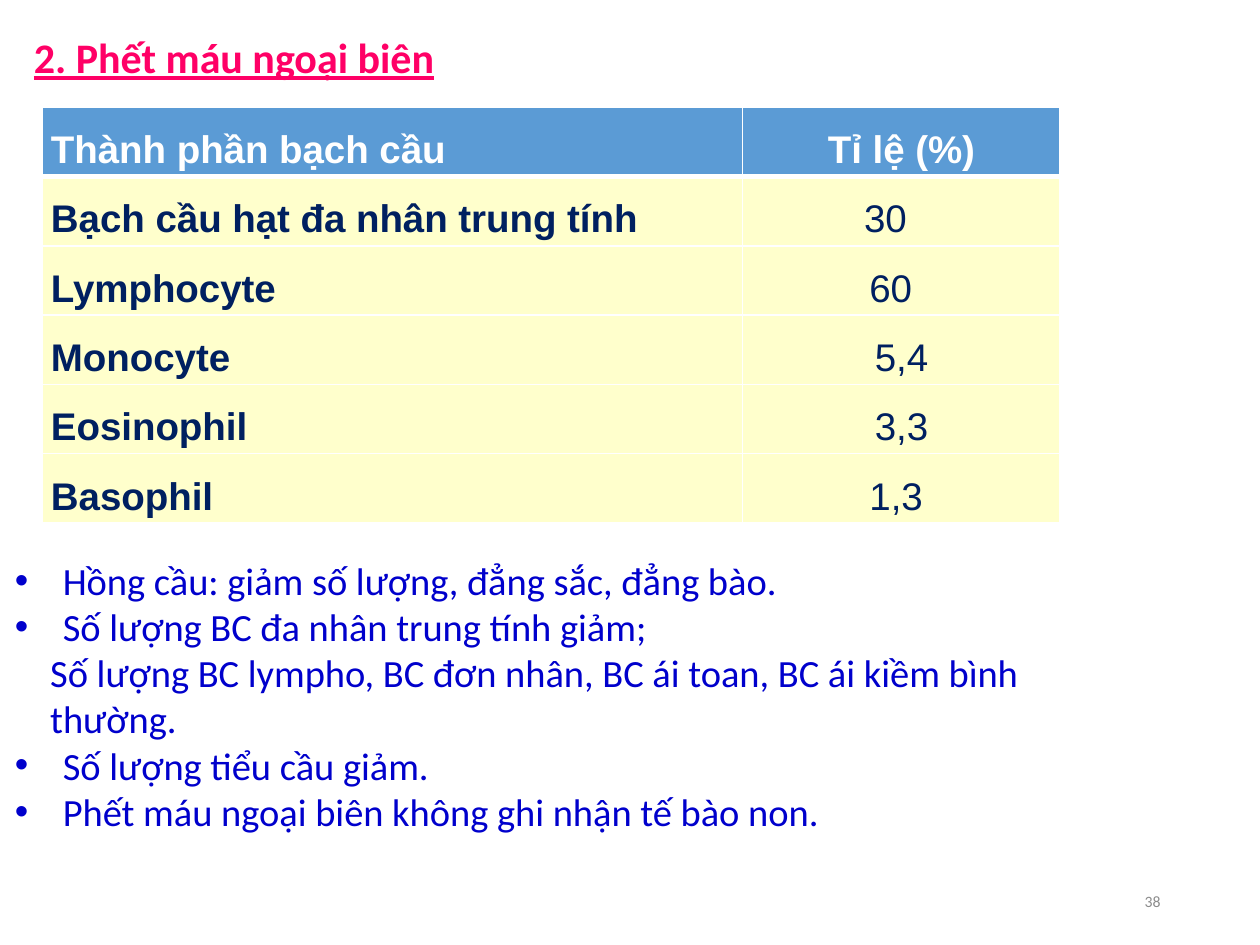
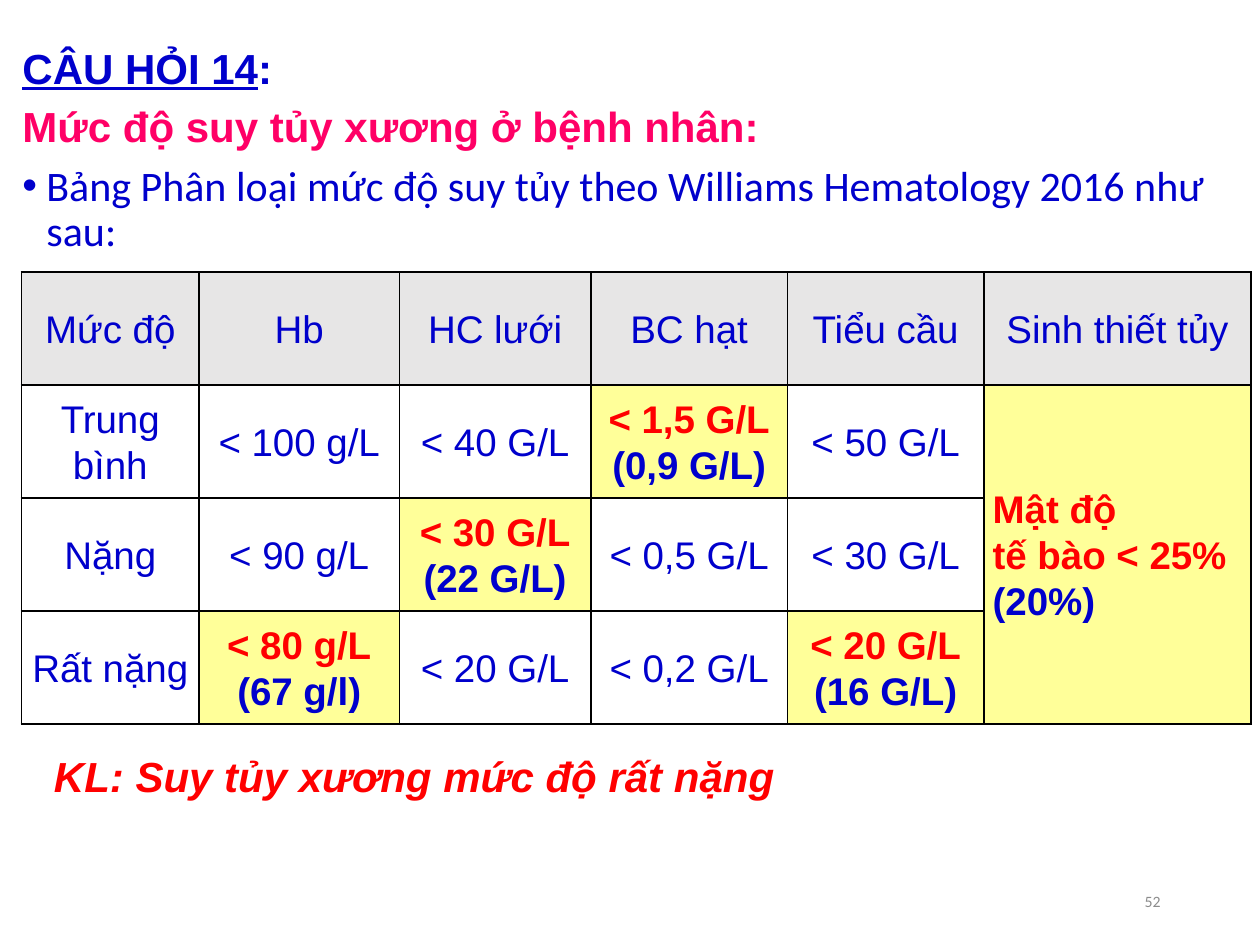
"""Build two haematology slides: a blood smear result and a marrow failure grading."""
import dataclasses

import lxml.etree
import pptx
import pptx.dml.color
import pptx.enum.text
import pptx.oxml.ns
import pptx.util

RGBColor = pptx.dml.color.RGBColor
Align = pptx.enum.text.PP_ALIGN
Anchor = pptx.enum.text.MSO_ANCHOR

WHITE = RGBColor(0xFF, 0xFF, 0xFF)
BLACK = RGBColor(0x00, 0x00, 0x00)
BLUE = RGBColor(0x00, 0x00, 0xCC)
NAVY = RGBColor(0x00, 0x20, 0x60)
PINK = RGBColor(0xFF, 0x00, 0x66)
RED = RGBColor(0xFF, 0x00, 0x00)
GREY = RGBColor(0x8C, 0x8C, 0x8C)
HEADER_BLUE = RGBColor(0x5B, 0x9B, 0xD5)
HEADER_GREY = RGBColor(0xE7, 0xE6, 0xE6)
CREAM = RGBColor(0xFF, 0xFF, 0xCC)
YELLOW = RGBColor(0xFF, 0xFF, 0x99)


@dataclasses.dataclass
class Span:
    text: str
    color: RGBColor = BLUE
    size: float = 22
    font: str = "Arial"
    bold: bool = False
    italic: bool = False
    underline: bool = False


@dataclasses.dataclass
class Para:
    spans: list
    align: Align = Align.LEFT
    spacing: float = 1.0
    before: float = 0
    indent: float = 0
    bullet: bool = False


@dataclasses.dataclass
class Cell:
    paras: list
    fill: RGBColor = None
    anchor: Anchor = Anchor.TOP
    shift: float = 0


class Deck:
    """Holds the presentation, its current page and the shared style."""

    def __init__(self):
        self.file = pptx.Presentation()
        self.file.slide_width = pptx.util.Inches(10)
        self.file.slide_height = pptx.util.Inches(7.5)
        self.page = None

    def across(self, percent):
        return round(self.file.slide_width * percent / 100)

    def down(self, percent):
        return round(self.file.slide_height * percent / 100)

    def add_page(self, number):
        self.page = self.file.slides.add_slide(self.file.slide_layouts[6])
        label = Span(str(number), GREY, 9, "Calibri")
        self.text(70.6, 92.67, 22.5, 5.33, [Para([label], Align.RIGHT)], Anchor.MIDDLE)

    def fill_text(self, frame, paras):
        for index, para in enumerate(paras):
            line = frame.paragraphs[0] if index == 0 else frame.add_paragraph()
            line.alignment = para.align
            line.line_spacing = para.spacing
            line.space_before = pptx.util.Pt(para.before if index else 0)
            properties = line._p.get_or_add_pPr()
            indent = pptx.util.Inches(para.indent)
            properties.set("marL", str(indent))
            properties.set("indent", str(-indent if para.bullet else 0))
            if para.bullet:
                for tag, key, value in (("a:buFont", "typeface", "Arial"), ("a:buChar", "char", "•")):
                    mark = lxml.etree.SubElement(properties, pptx.oxml.ns.qn(tag))
                    mark.set(key, value)
            for span in para.spans:
                run = line.add_run()
                run.text = span.text
                run.font.name = span.font
                run.font.size = pptx.util.Pt(span.size)
                run.font.color.rgb = span.color
                run.font.bold = span.bold
                run.font.italic = span.italic
                run.font.underline = span.underline

    def text(self, left, top, width, height, paras, anchor=Anchor.TOP, wrap=True):
        box = self.page.shapes.add_textbox(
            self.across(left), self.down(top), self.across(width), self.down(height))
        box.text_frame.word_wrap = wrap
        box.text_frame.vertical_anchor = anchor
        self.fill_text(box.text_frame, paras)

    def border(self, cell, color, widths):
        properties = cell._tc.get_or_add_tcPr()
        for index, (side, width) in enumerate(zip("LRTB", widths)):
            line = lxml.etree.Element(pptx.oxml.ns.qn(f"a:ln{side}"), w=str(pptx.util.Pt(width)))
            fill = lxml.etree.SubElement(line, pptx.oxml.ns.qn("a:solidFill"))
            lxml.etree.SubElement(fill, pptx.oxml.ns.qn("a:srgbClr"), val=str(color))
            properties.insert(index, line)

    def table(self, left, top, columns, rows, cells, line_color, header_line=1, merge=None):
        grid = self.page.shapes.add_table(
            len(rows), len(columns), self.across(left), self.down(top),
            self.across(sum(columns)), self.down(sum(rows))).table
        grid.horz_banding = False
        for column, width in zip(grid.columns, columns):
            column.width = self.across(width)
        for row, height in zip(grid.rows, rows):
            row.height = self.down(height)
        for y, row in enumerate(cells):
            for x, content in enumerate(row):
                cell = grid.cell(y, x)
                cell.margin_top = cell.margin_bottom = 0
                cell.margin_left = pptx.util.Inches(0.07)
                cell.margin_right = pptx.util.Inches(0.07 + content.shift)
                cell.vertical_anchor = content.anchor
                if content.fill is None:
                    cell.fill.background()
                else:
                    cell.fill.solid()
                    cell.fill.fore_color.rgb = content.fill
                above = header_line if y == 1 else 1
                below = header_line if y == 0 else 1
                self.border(cell, line_color, (1, 1, above, below))
                self.fill_text(cell.text_frame, content.paras)
        if merge:
            start, end = merge
            grid.cell(*start).merge(grid.cell(*end))


def smear_cells(name, share, shift=0, header=False):
    """Return one row of the white cell table."""
    color, fill = (WHITE, HEADER_BLUE) if header else (NAVY, CREAM)
    return [
        Cell([Para([Span(name, color, bold=True)], Align.JUSTIFY, 1.5)], fill),
        Cell([Para([Span(share, color, bold=header)], Align.CENTER, 1.5)], fill, shift=shift)]


def grade_cell(content, fill=None, align=Align.CENTER):
    """Return a grading cell; a tuple marks the criteria in red and the patient's value in blue."""
    if isinstance(content, str):
        spans = [Span(content)] if content else []
    else:
        spans = [Span(line, RED, bold=True) for line in content[:-1]]
        spans.append(Span(content[-1], bold=True))
        fill = YELLOW
    return Cell([Para([span], align, 1.07) for span in spans], fill, Anchor.MIDDLE)


def smear_page(deck):
    """Add the blood smear page."""
    deck.add_page(38)
    title = Span("2. Phết máu ngoại biên", PINK, 24, "Calibri", bold=True, underline=True)
    deck.text(1.7, 3.33, 95.8, 7, [Para([title], spacing=0.9)])
    space = 0.085
    cells = [
        smear_cells("Thành phần bạch cầu", "Tỉ lệ (%)", header=True),
        smear_cells("Bạch cầu hạt đa nhân trung tính", "30", 3 * space),
        smear_cells("Lymphocyte", "60", 2 * space),
        smear_cells("Monocyte", "5,4"),
        smear_cells("Eosinophil", "3,3"),
        smear_cells("Basophil", "1,3", space)]
    deck.table(3.35, 11.35, [55.6, 25.2], [6.13] + [5.73] * 5, cells, WHITE, header_line=3)
    findings = [
        ("Hồng cầu: giảm số lượng, đẳng sắc, đẳng bào.", True),
        ("Số lượng BC đa nhân trung tính giảm;", True),
        ("Số lượng BC lympho, BC đơn nhân, BC ái toan, BC ái kiềm bình", False),
        ("thường.", False),
        ("Số lượng tiểu cầu giảm.", True),
        ("Phết máu ngoại biên không ghi nhận tế bào non.", True)]
    deck.text(0.2, 58.27, 97.5, 30.93, [
        Para([Span(line, font="Calibri")], Align.JUSTIFY,
             indent=0.38 if bullet else 0.28, bullet=bullet)
        for line, bullet in findings])


def grading_page(deck):
    """Add the marrow failure grading page."""
    deck.add_page(52)
    deck.text(0.8, 4.4, 97.5, 24, [
        Para([Span("CÂU HỎI 14", size=24, bold=True, underline=True),
              Span(":", size=24, bold=True)], Align.JUSTIFY, 0.9),
        Para([Span("Mức độ suy tủy xương ở bệnh nhân:", PINK, 24, bold=True)],
             spacing=0.9, before=7.5),
        Para([Span("Bảng Phân loại mức độ suy tủy theo Williams Hematology 2016 như sau:",
                   size=24, font="Calibri")],
             spacing=0.9, before=7.5, indent=0.19, bullet=True)])
    headings = ["Mức độ", "Hb", "HC lưới", "BC hạt", "Tiểu cầu", "Sinh thiết tủy"]
    grades = [
        ["Trung bình", "< 100 g/L", "< 40 G/L", ("< 1,5 G/L", "(0,9 G/L)"), "< 50 G/L"],
        ["Nặng", "< 90 g/L", ("< 30 G/L", "(22 G/L)"), "< 0,5 G/L", "< 30 G/L"],
        ["Rất nặng", ("< 80 g/L", "(67 g/l)"), "< 20 G/L", "< 0,2 G/L", ("< 20 G/L", "(16 G/L)")]]
    biopsy = [("Mật độ", "tế bào < 25%", "(20%)"), "", ""]
    cells = [[grade_cell(heading, HEADER_GREY) for heading in headings]]
    for grade, density in zip(grades, biopsy):
        cells.append([grade_cell(value) for value in grade]
                     + [grade_cell(density, YELLOW, Align.JUSTIFY)])
    deck.table(1.7, 28.8, [14.1, 15.9, 15.2, 15.6, 15.6, 21.2], [11.96] * 4, cells, BLACK,
               merge=((1, 5), (3, 5)))
    conclusion = Span("KL: Suy tủy xương mức độ rất nặng", RED, 24, bold=True, italic=True)
    deck.text(3.3, 79.33, 59.9, 6.13, [Para([conclusion], spacing=0.9)], wrap=False)


def main():
    """Build and save the deck."""
    deck = Deck()
    smear_page(deck)
    grading_page(deck)
    deck.file.save("out.pptx")


if __name__ == "__main__":
    main()
